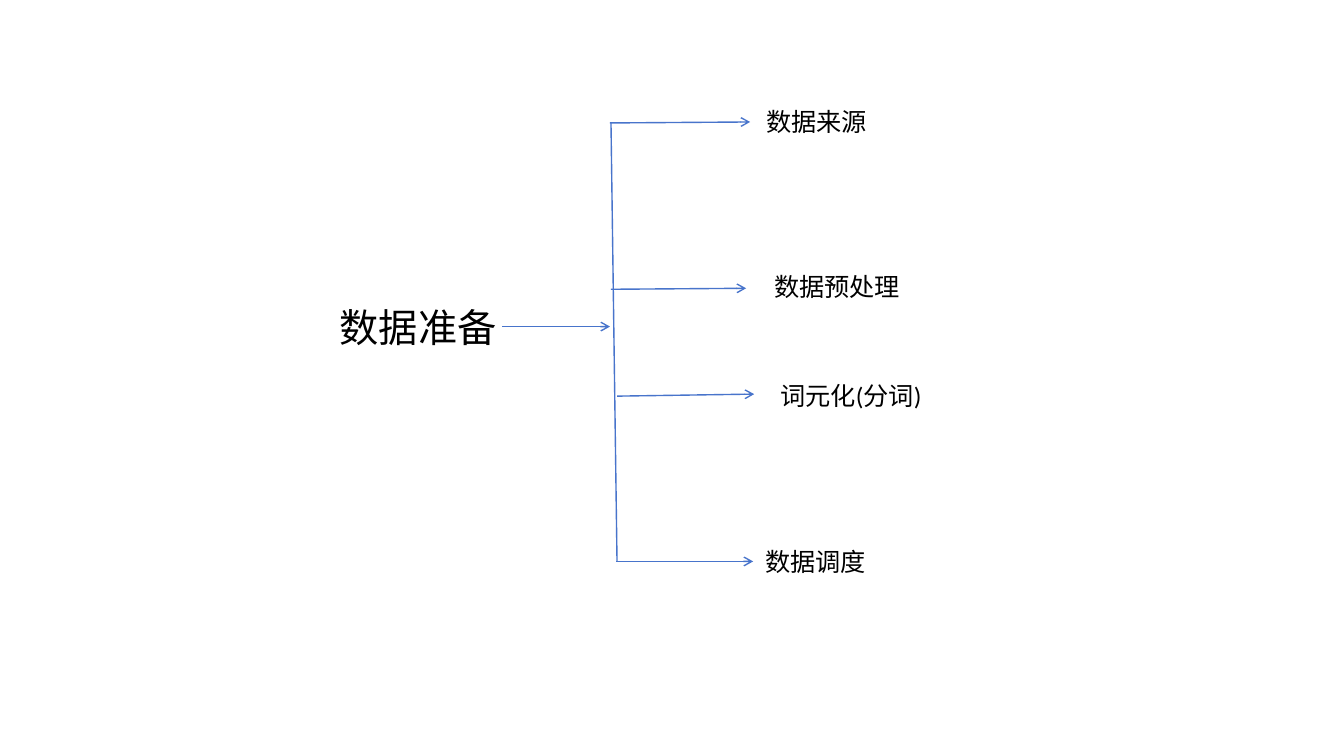
from lxml import etree
from pptx import Presentation
from pptx.dml.color import RGBColor
from pptx.enum.shapes import MSO_CONNECTOR
from pptx.enum.text import MSO_ANCHOR, MSO_AUTO_SIZE, PP_ALIGN
from pptx.oxml.ns import qn
from pptx.util import Inches, Pt

COLORS = {"text": "000000", "line": "4874CB"}
FONT = "Calibri"
LABEL_W, LABEL_H = 4.44, 0.4

# label, label left and top, arrow start (x, y), arrow end (x, y)
BRANCHES = [
    ("数据来源", (7.5, 1.01), (6.05, 1.22), (7.44, 1.21)),
    ("数据预处理", (7.58, 2.64), (6.06, 2.87), (7.4, 2.86)),
    ("词元化(分词)", (7.64, 3.72), (6.12, 3.93), (7.48, 3.91)),
    ("数据调度", (7.49, 5.37), (6.11, 5.57), (7.47, 5.57)),
]


def place(sp, left, top, width, height):
    sp.left, sp.top = Inches(left), Inches(top)
    sp.width, sp.height = Inches(width), Inches(height)


def write(sp, text, size):
    tf = sp.text_frame
    tf.text = text
    tf.word_wrap = True
    tf.auto_size = MSO_AUTO_SIZE.NONE
    tf.vertical_anchor = MSO_ANCHOR.MIDDLE
    p = tf.paragraphs[0]
    p.alignment = PP_ALIGN.LEFT
    font = p.runs[0].font
    font.name, font.size = FONT, Pt(size)
    font.color.rgb = RGBColor.from_string(COLORS["text"])


def add_line(slide, start, end, arrow=True):
    points = [Inches(v) for v in (*start, *end)]
    cxn = slide.shapes.add_connector(MSO_CONNECTOR.STRAIGHT, *points)
    cxn.line.color.rgb = RGBColor.from_string(COLORS["line"])
    cxn.line.width = Pt(1)
    props = cxn._element.spPr
    if arrow:
        etree.SubElement(props.find(qn("a:ln")), qn("a:tailEnd"), type="arrow")
    etree.SubElement(props, qn("a:effectLst"))


def add_root(slide, left, top, width, height):
    """Place the title as the root of the tree, with its arrow to the trunk."""
    title = slide.shapes.title
    place(title, left, top, width, height)
    write(title, "数据准备", 28)
    title.text_frame.margin_right = 0
    middle = top + height / 2
    add_line(slide, (left + width, middle), (6.05, middle))


def add_branches(slide, branches):
    """Draw the trunk and, off it, one arrow and label per branch."""
    add_line(slide, (6.06, 1.22), (6.12, 5.57), arrow=False)
    for text, (left, top), start, end in branches:
        add_line(slide, start, end)
        label = slide.shapes.add_textbox(0, 0, 0, 0)
        place(label, left, top, LABEL_W, LABEL_H)
        write(label, text, 18)


def main():
    prs = Presentation()
    prs.slide_width, prs.slide_height = Inches(13.33), Inches(7.5)
    slide = prs.slides.add_slide(prs.slide_layouts[5])
    add_root(slide, 3.27, 2.94, 1.71, 0.6)
    add_branches(slide, BRANCHES)
    prs.save("out.pptx")


if __name__ == "__main__":
    main()
